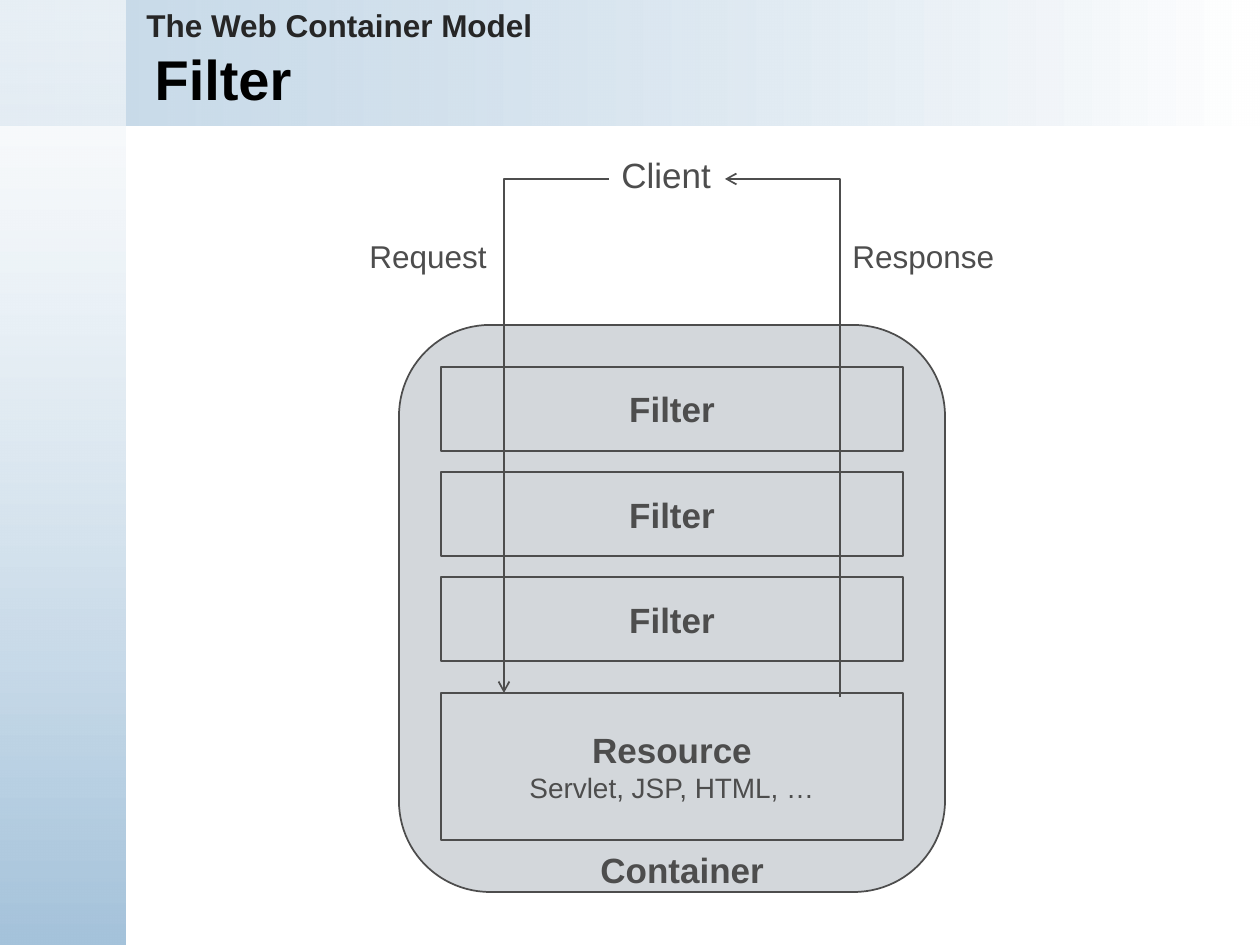
from lxml import etree
from pptx import Presentation
from pptx import util as u
from pptx.dml import color
from pptx.enum import shapes, text
from pptx.oxml import ns

SCALE = 914400 / 126
HUES = {"sky": "A5C3DB", "white": "FFFFFF", "grey": "D3D7DB",
        "ink": "4D4D4D", "dark": "262626", "black": "000000"}
KIND = shapes.MSO_SHAPE


def px(*vals):
    return [u.Emu(round(v * SCALE)) for v in vals]


def hue(name):
    return color.RGBColor.from_string(HUES[name])


def style(para, size, bold=False, ink="ink"):
    font = para.font
    font.name, font.size, font.bold = "Arial", u.Pt(size), bold
    font.color.rgb = hue(ink)


def band(slide, box, stops, angle, alpha):
    shape = slide.shapes.add_shape(KIND.RECTANGLE, *px(*box))
    shape.shadow.inherit = False
    shape.line.fill.background()
    shape.fill.gradient()
    shape.fill.gradient_angle = angle
    for stop, name, pos in zip(shape.fill.gradient_stops, stops, (0, 1)):
        stop.color.rgb = hue(name)
        stop.position = pos
    first = shape.element.find(".//" + ns.qn("a:srgbClr"))
    etree.SubElement(first, ns.qn("a:alpha"), val=str(alpha * 1000))


def title(slide, words, box):
    shape = slide.shapes.title
    shape.element.getparent().append(shape.element)
    shape.left, shape.top, shape.width, shape.height = px(*box)
    frame = shape.text_frame
    frame.text = words
    frame.vertical_anchor = text.MSO_ANCHOR.MIDDLE
    para = frame.paragraphs[0]
    para.alignment = text.PP_ALIGN.LEFT
    style(para, 32, True, "black")


def label(slide, words, box, size, bold=False, ink="ink", wrap=False):
    frame = slide.shapes.add_textbox(*px(*box)).text_frame
    frame.word_wrap = wrap
    frame.auto_size = text.MSO_AUTO_SIZE.SHAPE_TO_FIT_TEXT
    frame.text = words
    style(frame.paragraphs[0], size, bold, ink)


def block(slide, box, lines=(), kind=KIND.RECTANGLE):
    shape = slide.shapes.add_shape(kind, *px(*box))
    shape.shadow.inherit = False
    shape.fill.solid()
    shape.fill.fore_color.rgb = hue("grey")
    shape.line.color.rgb = hue("ink")
    shape.line.width = u.Pt(1)
    frame = shape.text_frame
    frame.vertical_anchor = text.MSO_ANCHOR.MIDDLE
    frame.text = "\n".join(words for words, _, _ in lines)
    for para, (_, size, bold) in zip(frame.paragraphs, lines):
        para.alignment = text.PP_ALIGN.CENTER
        style(para, size, bold)


def elbow(slide, start, end, tip):
    wire = slide.shapes.add_connector(
        shapes.MSO_CONNECTOR.ELBOW, *px(*start, *end))
    wire.line.color.rgb = hue("ink")
    wire.line.width = u.Pt(1)
    props = wire.element.spPr
    props.find(ns.qn("a:prstGeom")).set("prst", "bentConnector2")
    etree.SubElement(props.find(ns.qn("a:ln")), ns.qn(tip), type="arrow")
    etree.SubElement(props, ns.qn("a:effectLst"))


def main():
    deck = Presentation()
    deck.slide_width, deck.slide_height = px(1260, 945)
    slide = deck.slides.add_slide(deck.slide_layouts[5])

    band(slide, (0, 0, 1260, 126), ("sky", "white"), 0, 62)
    band(slide, (0, 0, 126, 945), ("white", "sky"), 270, 59)
    title(slide, "Filter", (142, 20, 1065, 116))
    label(slide, "The Web Container Model", (134, 0, 1126, 50),
          18, True, "dark", True)

    block(slide, (399, 325, 546, 567), kind=KIND.ROUNDED_RECTANGLE)
    for row in range(3):
        block(slide, (441, 367 + 105 * row, 462, 84), [("Filter", 20, True)])
    block(slide, (441, 693, 462, 147),
          [("Resource", 20, True), ("Servlet, JSP, HTML, …", 16, False)])

    label(slide, "Client", (609, 147, 116, 55), 20)
    label(slide, "Container", (588, 842, 192, 55), 20, True)
    elbow(slide, (609, 179), (504, 693), "a:tailEnd")
    elbow(slide, (725, 179), (840, 697), "a:headEnd")
    label(slide, "Request", (357, 231, 144, 50), 18)
    label(slide, "Response", (840, 231, 169, 50), 18)

    deck.save("out.pptx")


if __name__ == "__main__":
    main()
